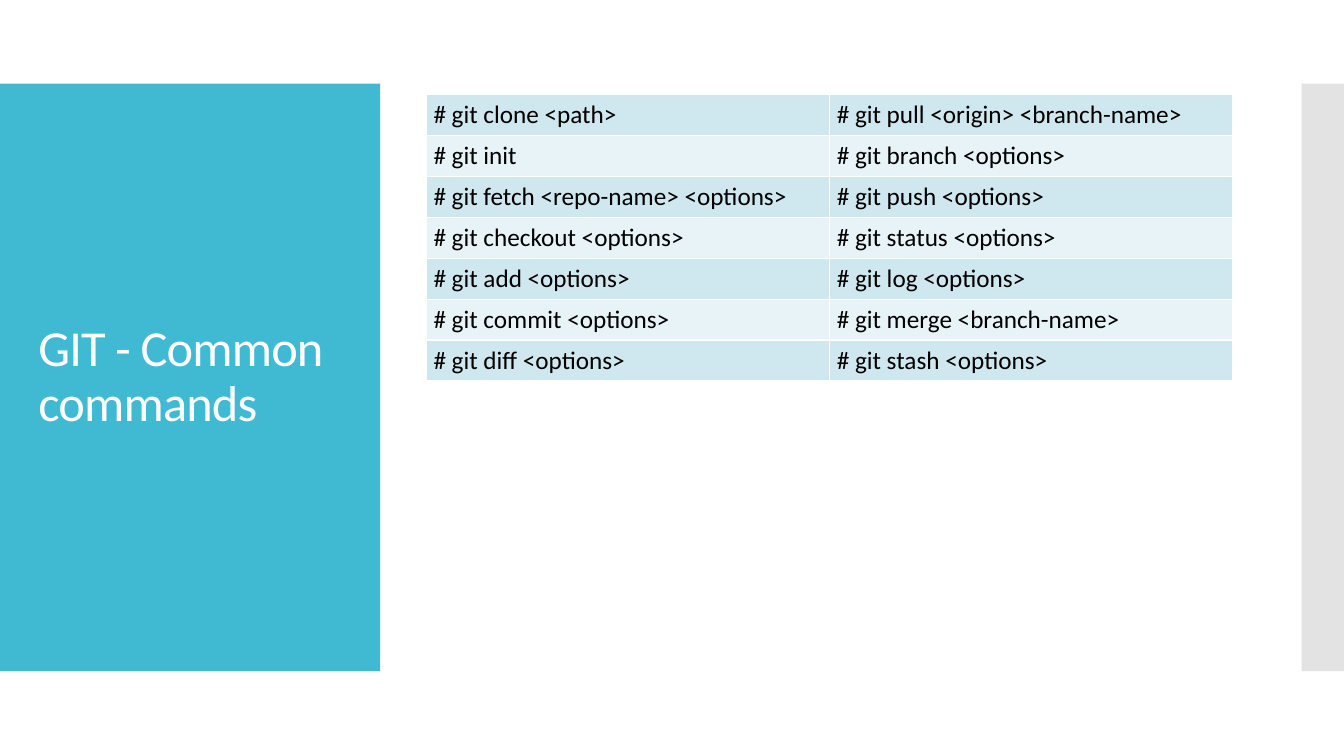
from pptx import Presentation
from pptx.dml.color import RGBColor
from pptx.enum import shapes, text
from pptx.oxml.ns import qn
from pptx.util import Inches, Pt
from lxml import etree

# Content
TITLE = "GIT - Common commands"
COMMANDS = [
    ("# git clone <path>", "# git pull <origin> <branch-name>"),
    ("# git init", "# git branch <options>"),
    ("# git fetch <repo-name> <options>", "# git push <options>"),
    ("# git checkout <options>", "# git status <options>"),
    ("# git add <options>", "# git log <options>"),
    ("# git commit <options>", "# git merge <branch-name>"),
    ("# git diff <options>", "# git stash <options>"),
]

THEME = {
    "font": "Calibri", "title": 36, "cell": 18,
    "panel": "40BAD2", "strip": "C8C8C8", "white": "FFFFFF",
    "ink": "000000", "bands": ("CFE7EE", "E8F3F7"),
}

# Layout in inches
WIDE, HIGH = 13.33, 7.5
BAND_TOP, BAND_HIGH = 0.83, 5.83
PANEL_WIDE, STRIP_WIDE = 3.77, 0.42
TITLE_BOX = (0.28, 1.23, 3.22, 5.03)
GRID_LEFT, GRID_TOP, GRID_WIDE, GRID_HIGH = 4.23, 0.94, 8, 2.84


def paint(fill, color):
    fill.solid()
    fill.fore_color.rgb = RGBColor.from_string(color)


def style(font, size, color):
    font.name = THEME["font"]
    font.size = Pt(size)
    font.color.rgb = RGBColor.from_string(color)


def add_band(slide, left, width, color):
    band = slide.shapes.add_shape(
        shapes.MSO_SHAPE.RECTANGLE, Inches(left), Inches(BAND_TOP),
        Inches(width), Inches(BAND_HIGH))
    band.shadow.inherit = False
    paint(band.fill, color)
    band.line.fill.background()
    return band


def add_borders(cell, color, width):
    props = cell._tc.get_or_add_tcPr()
    for spot, side in enumerate(("lnL", "lnR", "lnT", "lnB")):
        line = etree.Element(qn(f"a:{side}"), w=str(Pt(width)))
        fill = etree.SubElement(line, qn("a:solidFill"))
        etree.SubElement(fill, qn("a:srgbClr"), val=color)
        props.insert(spot, line)


def add_title(slide):
    title = slide.shapes.title
    title.left, title.top, title.width, title.height = map(Inches, TITLE_BOX)
    frame = title.text_frame
    frame.text = TITLE
    frame.word_wrap = True
    frame.auto_size = text.MSO_AUTO_SIZE.NONE
    frame.vertical_anchor = text.MSO_ANCHOR.MIDDLE
    para = frame.paragraphs[0]
    para.alignment = text.PP_ALIGN.LEFT
    para.line_spacing = 0.9
    style(para.font, THEME["title"], THEME["white"])
    para.runs[0].font._element.set("spc", "-60")
    return title


def add_grid(slide):
    rows, cols = len(COMMANDS), len(COMMANDS[0])
    table = slide.shapes.add_table(
        rows, cols, Inches(GRID_LEFT), Inches(GRID_TOP),
        Inches(GRID_WIDE), Inches(GRID_HIGH)).table
    table.first_row = False
    for row, pair in enumerate(COMMANDS):
        for col, command in enumerate(pair):
            cell = table.cell(row, col)
            cell.text = command
            cell.margin_left = cell.margin_right = Inches(0.07)
            cell.margin_top = cell.margin_bottom = Inches(0.05)
            paint(cell.fill, THEME["bands"][row % 2])
            add_borders(cell, THEME["white"], 1)
            style(cell.text_frame.paragraphs[0].font,
                  THEME["cell"], THEME["ink"])


def main():
    deck = Presentation()
    deck.slide_width, deck.slide_height = Inches(WIDE), Inches(HIGH)
    slide = deck.slides.add_slide(deck.slide_layouts[5])
    paint(slide.background.fill, THEME["white"])

    # Title over the side panel
    title = add_title(slide)
    panel = add_band(slide, 0, PANEL_WIDE, THEME["panel"])
    title.element.addprevious(panel.element)

    # Half-transparent strip at the right edge
    strip = add_band(slide, WIDE - STRIP_WIDE, STRIP_WIDE, THEME["strip"])
    color = strip.element.spPr.find(qn("a:solidFill")).find(qn("a:srgbClr"))
    etree.SubElement(color, qn("a:alpha"), val="50000")

    # Command table
    add_grid(slide)
    deck.save("out.pptx")


if __name__ == "__main__":
    main()
